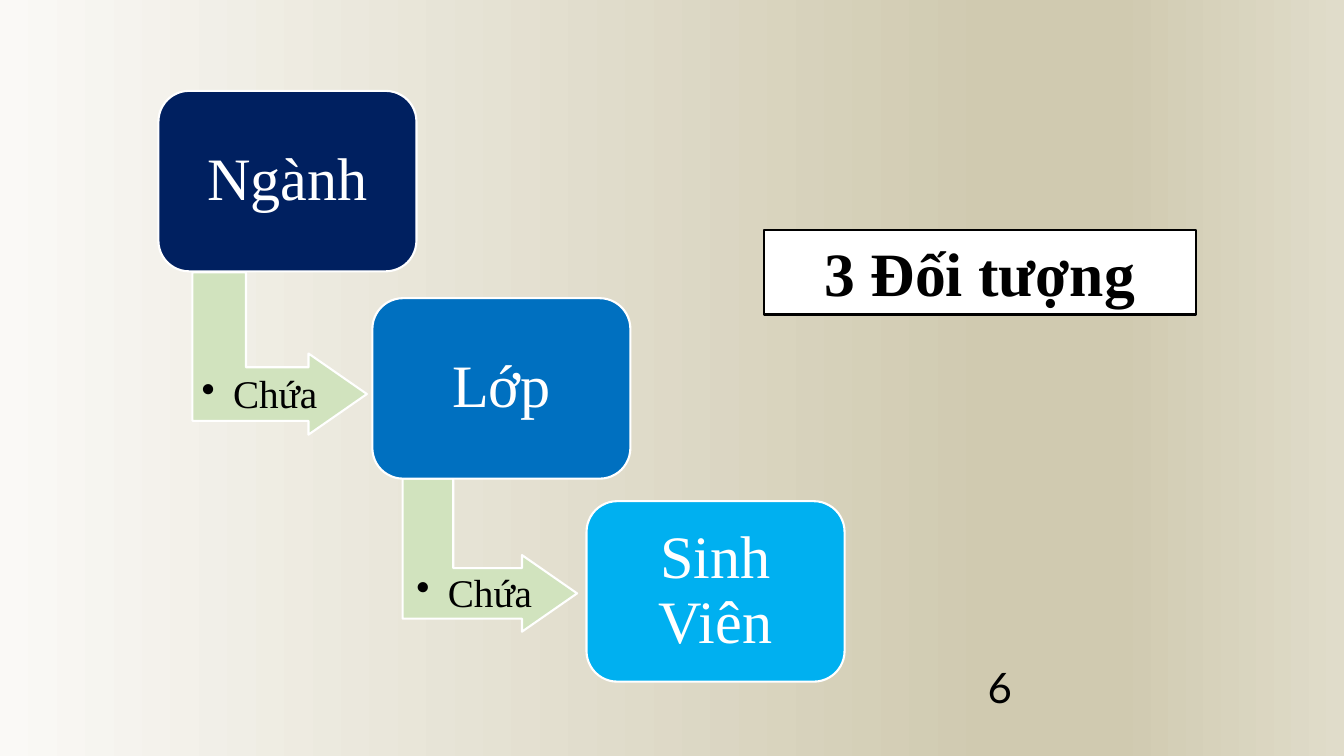
from dataclasses import dataclass

from lxml import etree
from pptx import Presentation
from pptx.dml.color import RGBColor
from pptx.enum.shapes import MSO_SHAPE
from pptx.enum.text import MSO_ANCHOR, MSO_AUTO_SIZE, PP_ALIGN
from pptx.oxml.ns import qn
from pptx.util import Pt

ROUND_RECT, BENT_ARROW = MSO_SHAPE.ROUNDED_RECTANGLE, MSO_SHAPE.BENT_UP_ARROW
MIDDLE, BOTTOM = MSO_ANCHOR.MIDDLE, MSO_ANCHOR.BOTTOM
LEFT, CENTER, RIGHT = PP_ALIGN.LEFT, PP_ALIGN.CENTER, PP_ALIGN.RIGHT
NO_AUTOFIT = MSO_AUTO_SIZE.NONE

SERIF = "Times New Roman"
WHITE, BLACK, ARROW_GREEN = "FFFFFF", "000000", "D1E3BE"
BACKGROUND_STOPS = [(0, "FAF9F6"), (74, "D0CAB0"), (83, "D0CAB0"), (100, "E0DCCA")]
LINE_WIDTH = 1.5
BOX_SIZE = (184.3, 128.9)
BULLET_INDENT = 22.5


@dataclass
class Box:
    text: str
    left: float
    top: float
    fill: str


@dataclass
class Link:
    text: str
    arrow: tuple[float, float, float, float]
    label: tuple[float, float, float, float]


BOXES = [
    Box("Ngành", 113.2, 64.9, "002060"),
    Box("Lớp", 266, 213, "0070C0"),
    Box("Sinh Viên", 419, 358, "00B0F0"),
]
LINKS = [
    Link("Chứa", (141.8, 190.2, 115.9, 124.6), (133.2, 200.2, 133.9, 108.7)),
    Link("Chứa", (295.2, 334.2, 109.4, 124.6), (286.6, 346.3, 133.9, 104.4)),
]


def rgb(value: str) -> RGBColor:
    return RGBColor.from_string(value)


def paint(sp, fill: str, line: str) -> None:
    sp.fill.solid()
    sp.fill.fore_color.rgb = rgb(fill)
    sp.line.color.rgb = rgb(line)
    sp.line.width = Pt(LINE_WIDTH)
    sp.shadow.inherit = False


def write(sp, text: str, size: float, color: str, *, font: str = SERIF,
          align=CENTER, anchor=MIDDLE, inset: float | None = None,
          spacing: float = 1, bold: bool = False):
    tf = sp.text_frame
    frame_format = {"word_wrap": True, "auto_size": NO_AUTOFIT, "vertical_anchor": anchor}
    if inset is not None:
        for side in ("left", "top", "right", "bottom"):
            frame_format[f"margin_{side}"] = Pt(inset)
    for name, value in frame_format.items():
        setattr(tf, name, value)
    p = tf.paragraphs[0]
    p.alignment, p.line_spacing = align, spacing
    r = p.add_run()
    r.text = text
    for name, value in {"name": font, "size": Pt(size), "bold": bold}.items():
        setattr(r.font, name, value)
    r.font.color.rgb = rgb(color)
    return p


def add_bullet(p) -> None:
    pPr = p._p.get_or_add_pPr()
    pPr.set("marL", str(Pt(BULLET_INDENT)))
    pPr.set("indent", str(-Pt(BULLET_INDENT)))
    etree.SubElement(pPr, qn("a:buChar")).set("char", "•")


def set_background(s) -> None:
    fill = s.background.fill
    fill.gradient()
    fill.gradient_angle = 0
    stops = s._element.find(".//" + qn("a:gsLst"))
    for stop in list(stops):
        stops.remove(stop)
    for percent, color in BACKGROUND_STOPS:
        stop = etree.SubElement(stops, qn("a:gs"), pos=str(percent * 1000))
        etree.SubElement(stop, qn("a:srgbClr"), val=color)


def draw_link(s, link: Link) -> None:
    sp = s.shapes.add_shape(BENT_ARROW, *map(Pt, link.arrow))
    sp.rotation = 90
    for i, value in enumerate((0.33, 0.25, 0.36)):
        sp.adjustments[i] = value
    paint(sp, ARROW_GREEN, WHITE)
    label = s.shapes.add_textbox(*map(Pt, link.label))
    add_bullet(write(label, link.text, 28, BLACK, align=LEFT, anchor=BOTTOM,
                     inset=10.8, spacing=0.9))


def draw_box(s, box: Box) -> None:
    sp = s.shapes.add_shape(ROUND_RECT, *map(Pt, (box.left, box.top, *BOX_SIZE)))
    sp.adjustments[0] = 0.17
    paint(sp, box.fill, WHITE)
    write(sp, box.text, 43, WHITE, inset=13, spacing=0.9)


def main() -> None:
    prs = Presentation()
    prs.slide_width, prs.slide_height = Pt(960), Pt(540)
    s = prs.slides.add_slide(prs.slide_layouts[5])
    set_background(s)

    # Title
    title = s.shapes.title
    title.left, title.top, title.width, title.height = map(Pt, (545.8, 164.2, 308.2, 60.5))
    paint(title, WHITE, BLACK)
    write(title, "3 Đối tượng", 44, BLACK, bold=True)

    # Staircase: arrows behind, boxes in front
    for link in LINKS:
        draw_link(s, link)
    for box in BOXES:
        draw_box(s, box)

    # Page number
    number = s.shapes.add_textbox(*map(Pt, (676, 476, 54, 28.8)))
    write(number, "6", 30, BLACK, font="Lato", align=RIGHT)

    prs.save("out.pptx")


if __name__ == "__main__":
    main()
